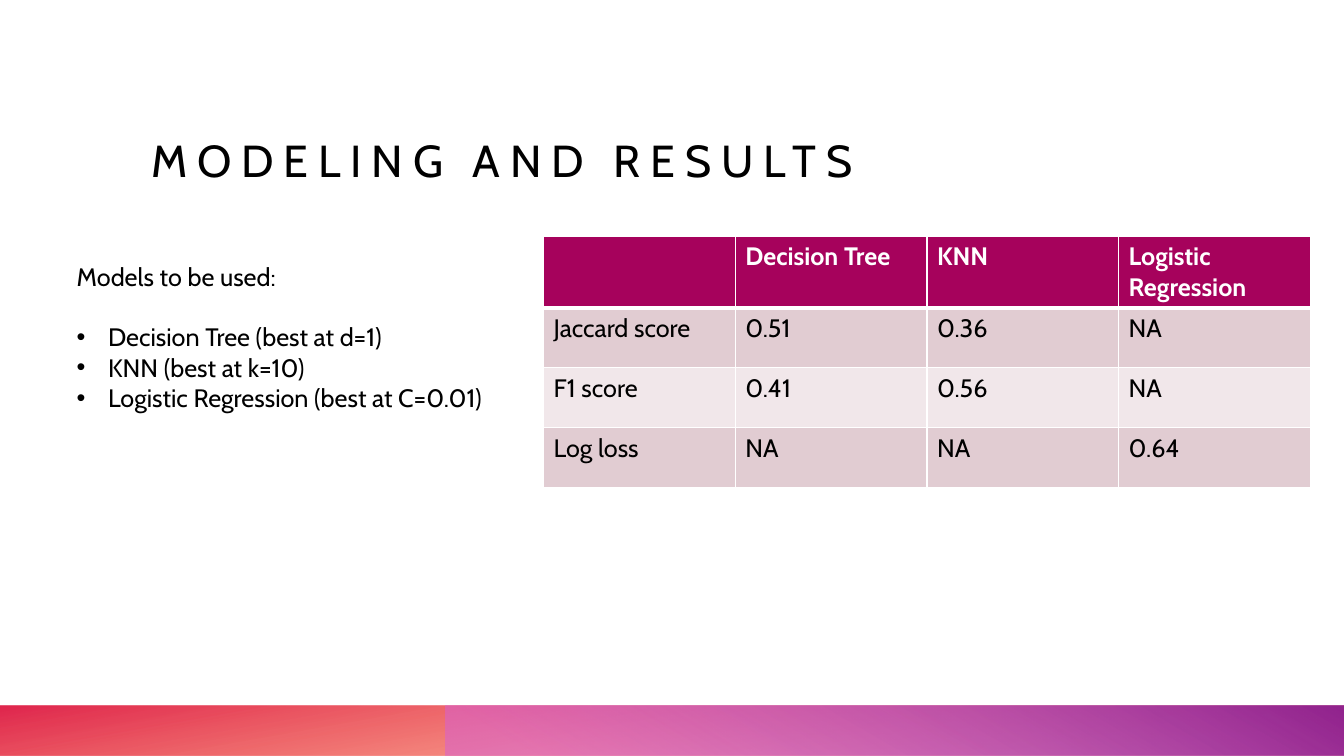
from pptx import Presentation
from pptx.dml.color import RGBColor
from pptx.enum.shapes import MSO_SHAPE as SHAPE
from pptx.enum.text import MSO_ANCHOR as ANCHOR, MSO_AUTO_SIZE as AUTO, PP_ALIGN as ALIGN
from pptx.oxml import parse_xml
from pptx.oxml.ns import nsdecls, qn
from pptx.util import Cm, Pt

FONT = "Cabin"


def rgb(color):
    return RGBColor.from_string(color)


def set_font(p, size, color="000000", bold=False):
    p.font.name, p.font.size, p.font.bold = FONT, Pt(size), bold
    p.font.color.rgb = rgb(color)


prs = Presentation()
prs.slide_width, prs.slide_height = Cm(33.87), Cm(19.05)
s = prs.slides.add_slide(prs.slide_layouts[1])
title, body = s.placeholders

# Footer bars: left, width, gradient angle, stops of (position, colour, opacity %)
bars = [
    (0, 33.87, 100, [(0.14, "FE4A00", 28), (1, "DA002F", 85)]),
    (11.22, 22.65, 60, [(0.09, "D861D4", 55), (0.99, "92248E", 100)]),
]
for left, width, angle, stops in bars:
    sp = s.shapes.add_shape(SHAPE.RECTANGLE, Cm(left), Cm(17.78), Cm(width), Cm(1.27))
    sp.shadow.inherit = False
    sp.line.fill.background()
    sp.fill.gradient()
    sp.fill.gradient_angle = angle
    for stop, (position, color, _) in zip(sp.fill.gradient_stops, stops):
        stop.position = position
        stop.color.rgb = rgb(color)
    colors = sp._element.spPr.iter(qn("a:srgbClr"))
    for clr, (_, _, opacity) in zip(list(colors), stops):
        clr.append(parse_xml(f'<a:alpha {nsdecls("a")} val="{opacity * 1000}"/>'))

# Title
title.left, title.top, title.width, title.height = Cm(3.81), Cm(1.27), Cm(27.74), Cm(3.43)
tf = title.text_frame
tf.text = "MODELING AND RESULTS"
tf.vertical_anchor = ANCHOR.BOTTOM
tf.margin_left = tf.margin_top = tf.margin_right = tf.margin_bottom = 0
p = tf.paragraphs[0]
p.alignment = ALIGN.LEFT
set_font(p, 32)
p.runs[0]._r.get_or_add_rPr().set("spc", "700")

# Model list
body.left, body.top, body.width, body.height = Cm(1.68), Cm(6.45), Cm(10.92), Cm(4.11)
tf = body.text_frame
tf.auto_size = AUTO.NONE
models = [
    "Decision Tree (best at d=1)",
    "KNN (best at k=10)",
    "Logistic Regression (best at C=0.01)",
]
tf.text = "\n".join(["Models to be used:"] + models)
for i, p in enumerate(tf.paragraphs):
    set_font(p, 18)
    p.space_before = Pt(21.8 if i == 1 else 0)
    pPr = p._p.get_or_add_pPr()
    indent = Cm(0.79) if i else 0
    pPr.set("marL", str(indent))
    pPr.set("indent", str(-indent))
    bullet = '<a:buChar {} char="•"/>' if i else "<a:buNone {}/>"
    pPr.find(qn("a:spcBef")).addnext(parse_xml(bullet.format(nsdecls("a"))))

# Score table
rows = [
    ["", "Decision Tree", "KNN", "Logistic Regression"],
    ["Jaccard score", "0.51", "0.36", "NA"],
    ["F1 score", "0.41", "0.56", "NA"],
    ["Log loss", "NA", "NA", "0.64"],
]
fills = ["A6025C", "E1CCD2", "F1E7EA", "E1CCD2"]
table = s.shapes.add_table(4, 4, Cm(13.7), Cm(5.95), Cm(19.32), Cm(6.3)).table
for r, (row, fill) in enumerate(zip(rows, fills)):
    header = r == 0
    table.rows[r].height = Cm(1.75 if header else 1.51)
    for c, text in enumerate(row):
        cell = table.cell(r, c)
        cell.text = text
        set_font(cell.text_frame.paragraphs[0], 18, "FFFFFF" if header else "000000", header)
        cell.fill.solid()
        cell.fill.fore_color.rgb = rgb(fill)
        for i, side in enumerate("LRTB"):
            thick = (header and side == "B") or (r == 1 and side == "T")
            cell._tc.tcPr.insert(i, parse_xml(
                f'<a:ln{side} {nsdecls("a")} w="{Pt(3 if thick else 1)}"><a:solidFill>'
                f'<a:srgbClr val="FFFFFF"/></a:solidFill></a:ln{side}>'))

prs.save("out.pptx")
